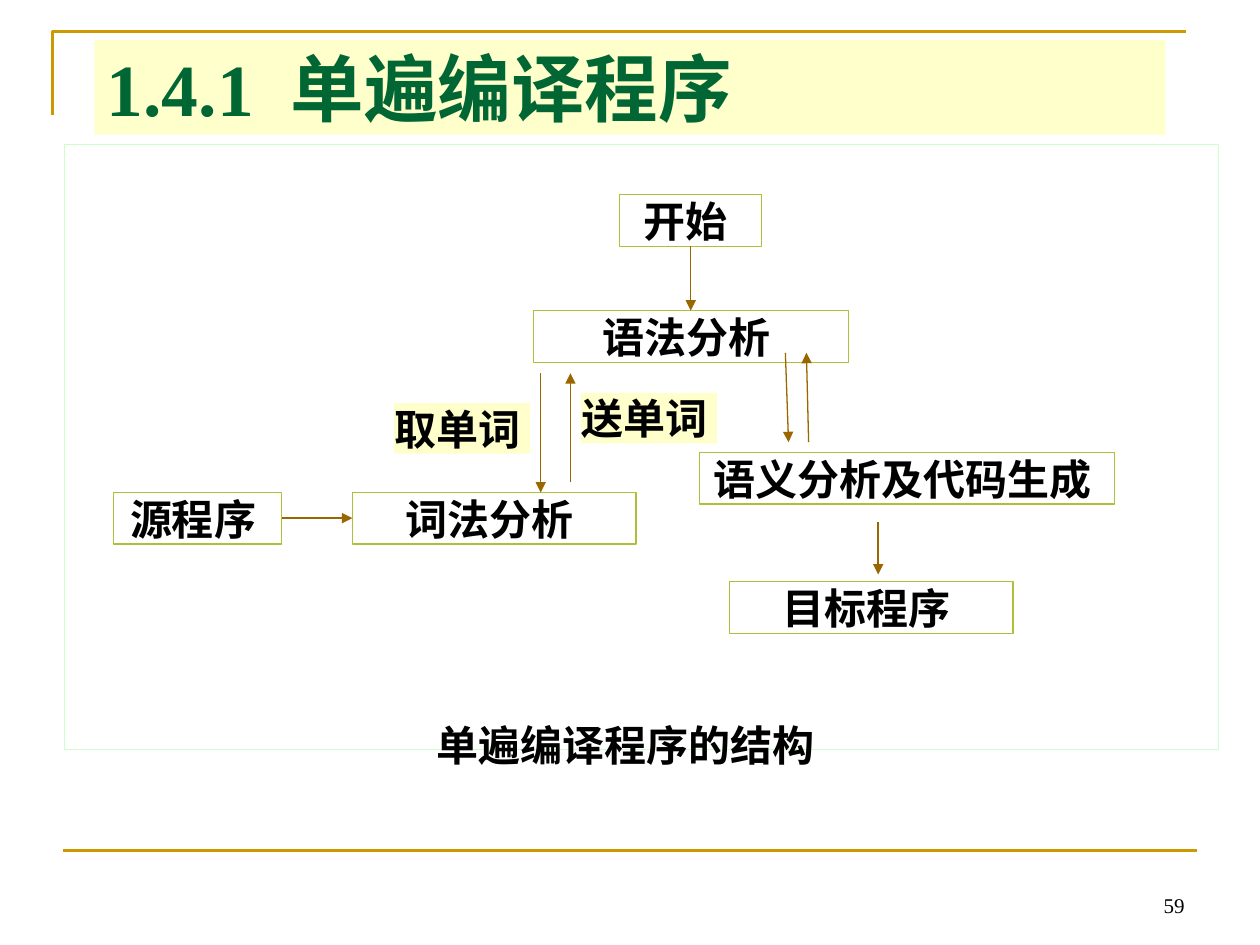
from lxml import etree
from pptx import Presentation
from pptx import util as u
from pptx.dml.color import RGBColor
from pptx.enum import shapes, text
from pptx.oxml.ns import qn

SANS = "Noto Sans CJK SC"
SERIF = "Times New Roman"
GOLD, BROWN, OLIVE, CREAM = "CC9900", "996600", "AFBF39", "FFFFCC"
CENTER = text.PP_ALIGN.CENTER
MIDDLE = text.MSO_ANCHOR.MIDDLE


def color(value):
    return RGBColor.from_string(value)


class Diagram:
    def __init__(self, slide):
        self.slide = slide

    def set_text(self, shape, content, size=24, font=SANS, ink="000000",
                 bold=True, align=CENTER, anchor=MIDDLE, inset=0):
        frame = shape.text_frame
        frame.word_wrap = False
        frame.vertical_anchor = anchor
        frame.margin_left = frame.margin_right = u.Pt(inset)
        frame.margin_top = frame.margin_bottom = u.Pt(inset / 2)
        paragraph = frame.paragraphs[0]
        for part in content:
            paragraph.add_run().text = part
        paragraph.alignment = align
        style = paragraph.font
        style.size = u.Pt(size)
        style.bold = bold
        style.color.rgb = color(ink)
        style.name = font
        etree.SubElement(style._rPr, qn("a:ea"), typeface=SANS)
        return paragraph

    def box(self, left, top, width, height, fill=None, line=None):
        shape = self.slide.shapes.add_shape(
            shapes.MSO_SHAPE.RECTANGLE, *map(u.Pt, (left, top, width, height)))
        shape.shadow.inherit = False
        if fill:
            shape.fill.solid()
            shape.fill.fore_color.rgb = color(fill)
        else:
            shape.fill.background()
        if line:
            shape.line.color.rgb = color(line)
            shape.line.width = u.Pt(0.75)
        else:
            shape.line.fill.background()
        return shape

    def step(self, content, left, top, width):
        self.set_text(self.box(left, top, width, 29.5, line=OLIVE), [content + " "])

    def label(self, content, left, top):
        self.set_text(self.box(left, top, 77.8, 28.8, fill=CREAM), [content + " "])

    def caption(self, content, left, top, width, height, **style):
        shape = self.slide.shapes.add_textbox(
            *map(u.Pt, (left, top, width, height)))
        self.set_text(shape, [content], **style)

    def line(self, x1, y1, x2, y2, ink=BROWN, width=0.75, arrow=True):
        connector = self.slide.shapes.add_connector(
            shapes.MSO_CONNECTOR.STRAIGHT, *map(u.Pt, (x1, y1, x2, y2)))
        connector.line.color.rgb = color(ink)
        connector.line.width = u.Pt(width)
        if arrow:
            etree.SubElement(connector.line._get_or_add_ln(),
                             qn("a:tailEnd"), type="triangle")
        etree.SubElement(connector._element.spPr, qn("a:effectLst"))

    def corner(self, left, top, right, bottom):
        builder = self.slide.shapes.build_freeform(u.Pt(left), u.Pt(bottom))
        builder.add_line_segments(
            [(u.Pt(left), u.Pt(top)), (u.Pt(right), u.Pt(top))], close=False)
        shape = builder.convert_to_shape()
        shape.shadow.inherit = False
        shape.fill.background()
        shape.line.color.rgb = color(GOLD)
        shape.line.width = u.Pt(1.5)

    def title(self, number, heading):
        shape = self.box(54, 23, 612, 54, fill=CREAM)
        paragraph = self.set_text(shape, [number, " ", heading], size=42, font=SERIF,
                                  ink="006633", align=text.PP_ALIGN.LEFT, inset=7.2)
        paragraph.runs[1]._r.get_or_add_rPr().set("spc", "1050")


def main():
    presentation = Presentation()
    presentation.slide_width, presentation.slide_height = u.Pt(720), u.Pt(540)
    slide = presentation.slides.add_slide(presentation.slide_layouts[6])
    diagram = Diagram(slide)

    diagram.corner(30, 18, 678, 66)
    diagram.line(36, 486, 684, 486, ink=GOLD, width=1.5, arrow=False)
    diagram.caption("59", 516, 492, 168, 36, size=12, font=SERIF, bold=False,
                    align=text.PP_ALIGN.RIGHT, anchor=text.MSO_ANCHOR.BOTTOM,
                    inset=7.2)
    diagram.box(36.8, 82.8, 659.5, 345.6, line="CCFFCC")
    diagram.title("1.4.1", "单遍编译程序")

    for step in (
        ("词法分析", 201.4, 281.4, 162),
        ("源程序", 65, 281.4, 96),
        ("目标程序", 416.8, 332.4, 162),
        ("开始", 354.2, 111.3, 81),
        ("语法分析", 304.8, 177.5, 180),
        ("语义分析及代码生成", 399.6, 258.5, 237.4),
    ):
        diagram.step(*step)

    diagram.label("取单词", 225.2, 230.4)
    diagram.label("送单词", 331.9, 224.6)

    for arrow in (
        (394.7, 140.8, 394.7, 177.5),
        (161, 296.1, 201.4, 296.1),
        (326, 275.6, 326, 213.3),
        (309, 213.3, 309, 281.4),
        (462.1, 252.7, 460.8, 201.6),
        (448.8, 201.6, 450.6, 252.7),
        (501.8, 298.3, 501.8, 328.3),
    ):
        diagram.line(*arrow)

    diagram.caption("单遍编译程序的结构 ", 165, 407.6, 390, 36)
    presentation.save("out.pptx")


if __name__ == "__main__":
    main()
